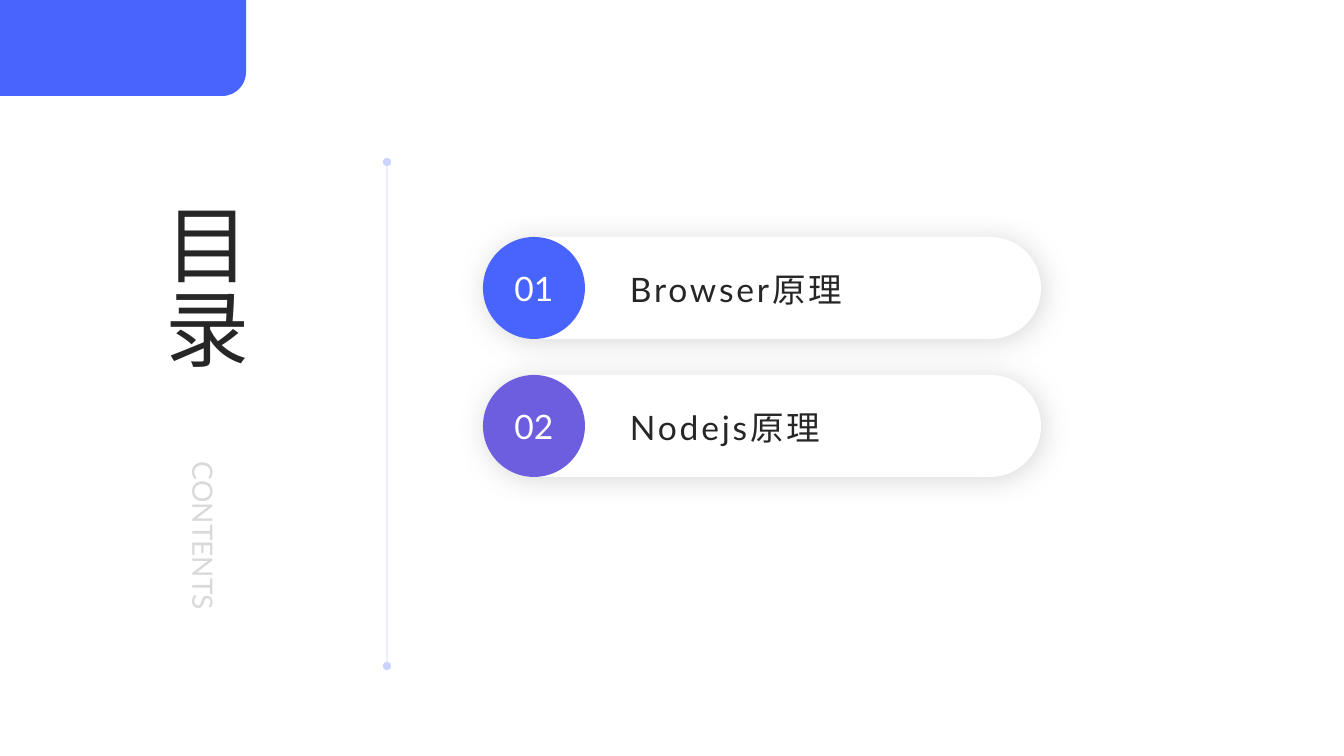
from lxml import etree
from pptx import Presentation
from pptx.dml.color import RGBColor
from pptx.enum.shapes import MSO_CONNECTOR, MSO_SHAPE
from pptx.enum.text import MSO_ANCHOR, PP_ALIGN
from pptx.oxml.ns import qn
from pptx.util import Pt

EMU_PER_PX = 914400 / 100.8
STRAIGHT = MSO_CONNECTOR.STRAIGHT
ONE_CORNER = MSO_SHAPE.ROUND_1_RECTANGLE
PILL = MSO_SHAPE.ROUNDED_RECTANGLE
CIRCLE = MSO_SHAPE.OVAL
MIDDLE = MSO_ANCHOR.MIDDLE
LEFT, CENTER = PP_ALIGN.LEFT, PP_ALIGN.CENTER

BLUE, PURPLE, WHITE = "4864FC", "6C5EDE", "FFFFFF"
DARK, PALE, RULE, SHADE = "262626", "D9D9D9", "002AF9", "808080"
ITEMS = [("Browser原理", BLUE), ("Nodejs原理", PURPLE)]


def px(n):
    return round(n * EMU_PER_PX)


def rgb(value):
    return RGBColor.from_string(value)


def child(parent, tag, **attrs):
    return etree.SubElement(parent, qn(tag), {k: str(v) for k, v in attrs.items()})


def put_text(sp, text, size, color, font="Lato", align=LEFT, inset=(0, 0),
             spacing=None, vertical=False):
    tf = sp.text_frame
    tf.word_wrap = True
    tf.vertical_anchor = MIDDLE
    tf.margin_left = tf.margin_right = px(inset[0])
    tf.margin_top = tf.margin_bottom = px(inset[1])
    if vertical:
        tf._txBody.bodyPr.set("vert", "eaVert")
    p = tf.paragraphs[0]
    p.alignment = align
    r = p.add_run()
    r.text = text
    r.font.name = font
    r.font.size = Pt(size)
    r.font.color.rgb = rgb(color)
    if spacing:
        r._r.get_or_add_rPr().set("spc", str(spacing * 100))


class Deck:
    def __init__(self, width, height):
        self.prs = Presentation()
        self.prs.slide_width, self.prs.slide_height = px(width), px(height)
        self.s = self.prs.slides.add_slide(self.prs.slide_layouts[6])

    def shape(self, kind, x, y, w, h, fill, adj=None, rotation=0):
        sp = self.s.shapes.add_shape(kind, px(x), px(y), px(w), px(h))
        sp.shadow.inherit = False
        sp.fill.solid()
        sp.fill.fore_color.rgb = rgb(fill)
        sp.line.fill.background()
        sp.rotation = rotation
        if adj is not None:
            sp.adjustments[0] = adj
        return sp

    def soft_shadow(self, sp, color, alpha, blur, dist, angle):
        effects = sp._element.spPr.find(qn("a:effectLst"))
        shadow = child(effects, "a:outerShdw", blurRad=Pt(blur), dist=Pt(dist),
                       dir=angle * 60000, algn="tl", rotWithShape=0)
        clr = child(shadow, "a:srgbClr", val=color)
        child(clr, "a:alpha", val=alpha * 1000)

    def text(self, text, x, y, w, h, **fmt):
        sp = self.s.shapes.add_textbox(px(x), px(y), px(w), px(h))
        put_text(sp, text, **fmt)

    def dotted_end_line(self, x1, y1, x2, y2, color, width, alpha):
        cx = self.s.shapes.add_connector(STRAIGHT, px(x1), px(y1), px(x2), px(y2))
        cx.line.width = Pt(width)
        cx.line.color.rgb = rgb(color)
        ln = cx.line._get_or_add_ln()
        child(ln.find(".//" + qn("a:srgbClr")), "a:alpha", val=alpha * 1000)
        child(ln, "a:headEnd", type="oval")
        child(ln, "a:tailEnd", type="oval")
        child(cx._element.spPr, "a:effectLst")

    def item(self, number, label, color, x, y, w, h):
        pill = self.shape(PILL, x, y, w, h, WHITE, adj=0.5)
        self.soft_shadow(pill, SHADE, alpha=30, blur=20, dist=3, angle=45)
        badge = self.shape(CIRCLE, x, y, h, h, color)
        put_text(badge, f"{number:02d}", size=24, color=WHITE, align=CENTER)
        self.text(label, x + 137, y + 1, 422, h, size=24, color=DARK,
                  inset=(10, 0), spacing=2)

    def save(self):
        self.prs.save("out.pptx")


def main():
    deck = Deck(1344, 756)
    deck.dotted_end_line(387, 162, 387, 666, RULE, width=0.5, alpha=20)
    deck.shape(ONE_CORNER, 75, -75, 96, 246, BLUE, adj=0.25, rotation=90)
    deck.text("CONTENTS", 128, 457, 151, 215, size=20, color=PALE,
              inset=(10, 5), vertical=True)
    deck.text("目录", 129, 198, 151, 234, size=60, color=DARK,
              inset=(10, 5), vertical=True)
    for i, (label, color) in enumerate(ITEMS):
        deck.item(i + 1, label, color, 483, 237 + 138 * i, 558, 102)
    deck.save()


if __name__ == "__main__":
    main()
